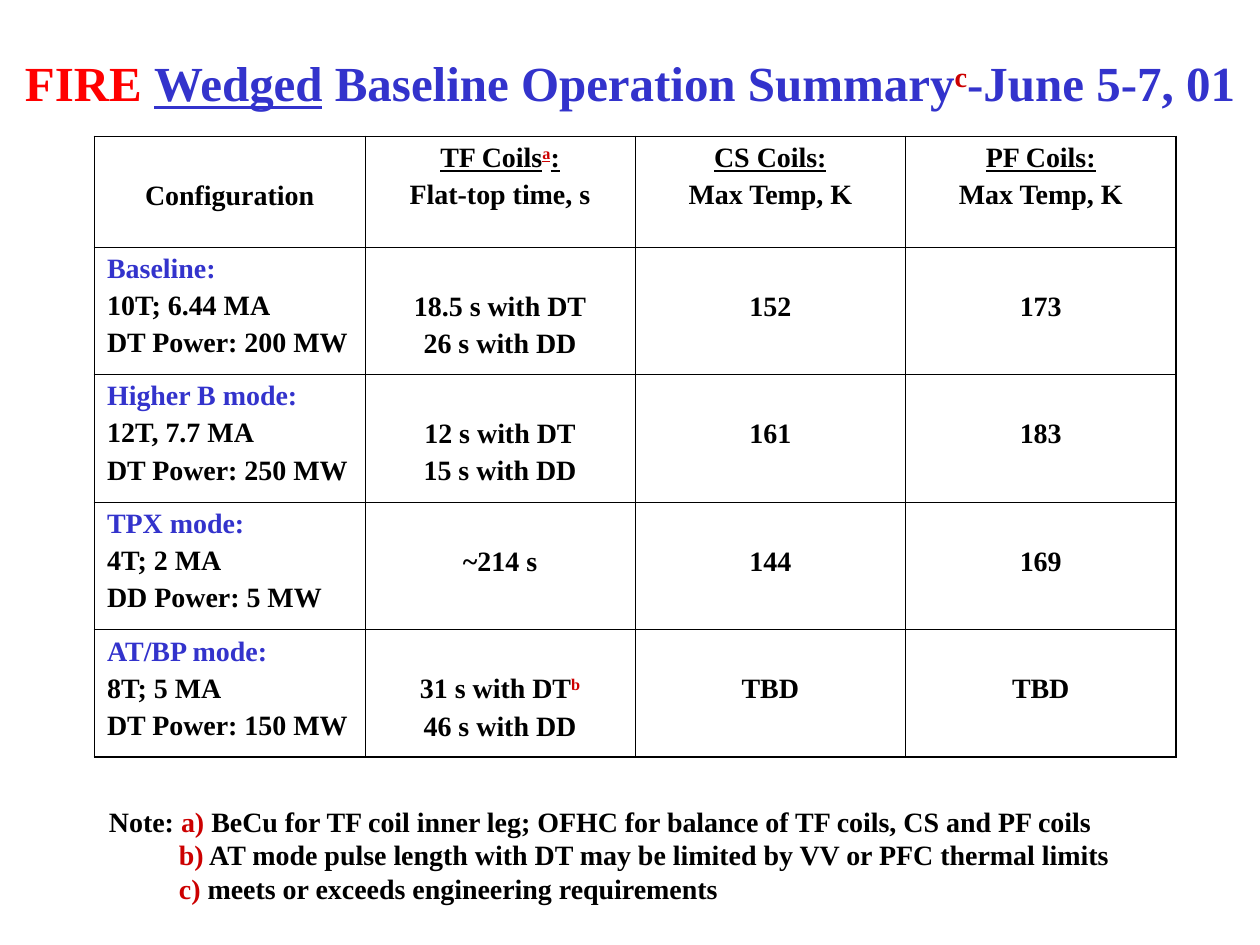
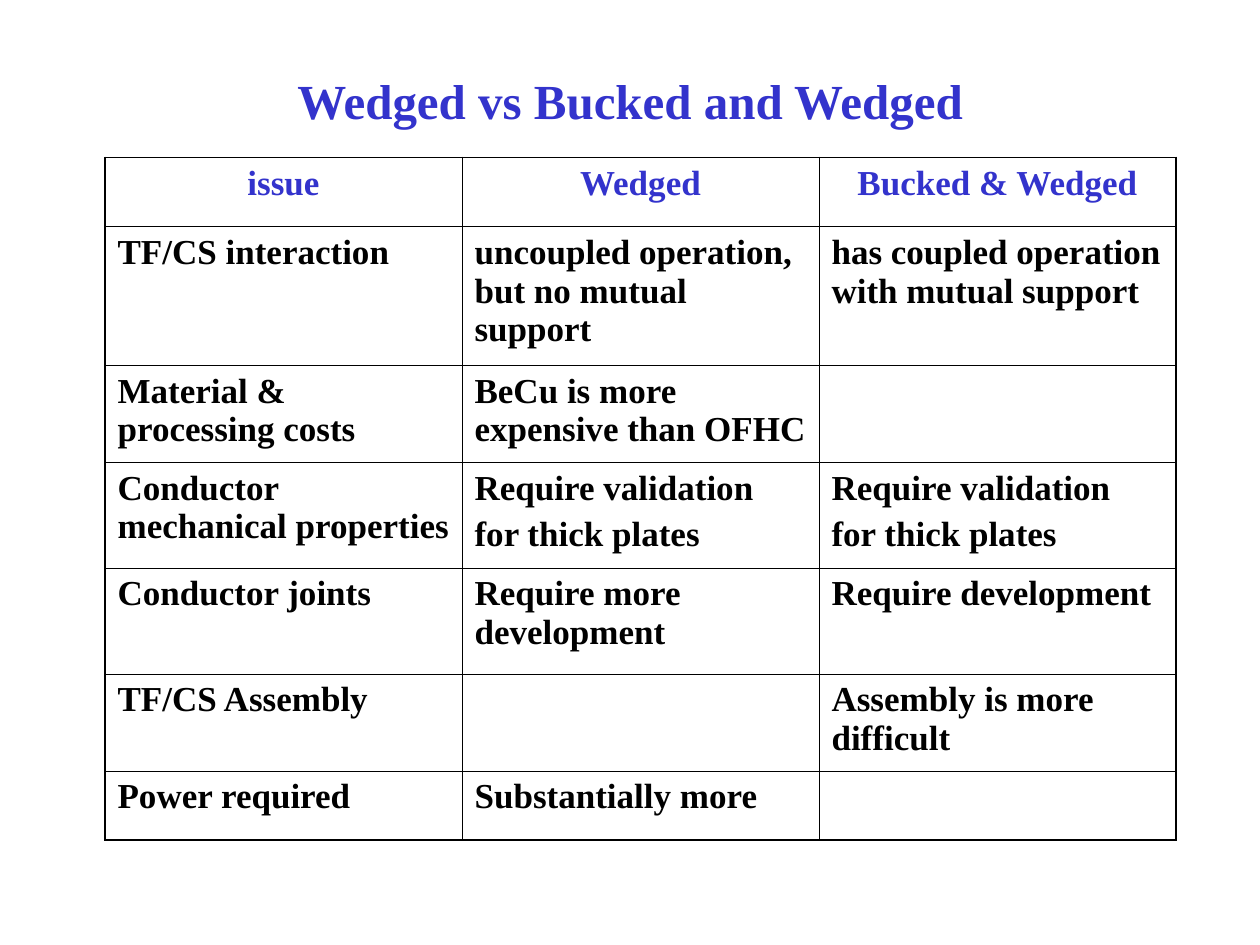
"""Build two slides on the FIRE wedged coil baseline and its alternative."""
from lxml.etree import SubElement
from pptx import Presentation
from pptx.dml.color import RGBColor
from pptx.enum.text import MSO_ANCHOR, MSO_AUTO_SIZE, PP_ALIGN
from pptx.oxml.ns import qn
from pptx.util import Pt

FONT = "Times New Roman"
BLACK, BLUE, RED, NOTE_RED = "000000", "3333CC", "FF0000", "CC0000"
OUTER_LINE, INNER_LINE = Pt(1.08), Pt(0.45)


def add_runs(paragraph, runs, size):
    """Add runs given as plain text or as (text, colour, effects)."""
    for item in [runs] if isinstance(runs, (str, tuple)) else runs:
        text, colour, *effects = (item, BLACK) if isinstance(item, str) else item
        run = paragraph.add_run()
        run.text = text
        run.font.name = FONT
        run.font.size = Pt(size)
        run.font.bold = True
        run.font.underline = "underline" in effects
        run.font.color.rgb = RGBColor.from_string(colour)
        if "superscript" in effects:
            run.font._element.set("baseline", "30000")


def style_cell(cell, edges):
    """Draw the cell's borders, thick where it meets the table's edge."""
    properties = cell._tc.get_or_add_tcPr()
    for side, outer in edges.items():
        line = SubElement(properties, qn(f"a:ln{side}"), w=str(OUTER_LINE if outer else INNER_LINE))
        SubElement(SubElement(line, qn("a:solidFill")), qn("a:srgbClr"), val=BLACK)
    cell.fill.background()


operation_rows = [
    [["Configuration"],
     [[("TF Coils", BLACK, "underline"), ("a", NOTE_RED, "underline", "superscript"),
       (":", BLACK, "underline")], "Flat-top time, s"],
     [("CS Coils:", BLACK, "underline"), "Max Temp, K"],
     [("PF Coils:", BLACK, "underline"), "Max Temp, K"]],
    [[("Baseline:", BLUE), "10T; 6.44 MA", "DT Power: 200 MW"],
     ["18.5 s with DT", "26 s with DD"], ["152"], ["173"]],
    [[("Higher B mode:", BLUE), "12T, 7.7 MA", "DT Power: 250 MW"],
     ["12 s with DT", "15 s with DD"], ["161"], ["183"]],
    [[("TPX mode:", BLUE), "4T; 2 MA", "DD Power: 5 MW"],
     ["~214 s"], ["144"], ["169"]],
    [[("AT/BP mode:", BLUE), "8T; 5 MA", "DT Power: 150 MW"],
     [["31 s with DT", ("b", NOTE_RED, "superscript")], "46 s with DD"], ["TBD"], ["TBD"]],
]
validation = ["Require validation", "for thick plates"]
comparison_rows = [
    [[(heading, BLUE)] for heading in ("issue", "Wedged", "Bucked & Wedged")],
    [["TF/CS interaction"], ["uncoupled operation, but no mutual support"],
     ["has coupled operation with mutual support"]],
    [["Material & processing costs"], ["BeCu is more expensive than OFHC"], []],
    [["Conductor mechanical properties"], validation, validation],
    [["Conductor joints"], ["Require more development"], ["Require development"]],
    [["TF/CS Assembly"], [], ["Assembly is more difficult"]],
    [["Power required"], ["Substantially more"], []],
]
slides = [
    {"title": [("FIRE ", RED), ("Wedged", BLUE, "underline"),
               (" Baseline Operation Summary", BLUE), ("c", NOTE_RED, "superscript"),
               ("-June 5-7, 01", BLUE)],
     "title_box": (0, 24, 720, 36), "title_drop": 10,
     "rows": operation_rows, "heights": [63.2] + [72.9] * 4, "table_box": (54, 78, 618),
     "size": 16, "space": 3.4, "centre_body": True, "lowered": 21.7},
    {"title": [("Wedged vs Bucked and Wedged", BLUE)],
     "title_box": (54, 36, 612, 42), "title_drop": 0,
     "rows": comparison_rows, "heights": [39.5, 79.4, 55.4, 60.5, 60.5, 55.4, 39.5],
     "table_box": (60, 90, 612),
     "size": 20, "space": 4.5, "centre_body": False, "lowered": 0},
]

presentation = Presentation()
presentation.slide_width, presentation.slide_height = Pt(720), Pt(540)

for content in slides:
    slide = presentation.slides.add_slide(presentation.slide_layouts[5])
    title = slide.shapes.title
    title.left, title.top, title.width, title.height = map(Pt, content["title_box"])
    title.text_frame.auto_size = MSO_AUTO_SIZE.NONE
    title.text_frame.vertical_anchor = MSO_ANCHOR.MIDDLE
    title.text_frame.margin_top = Pt(3.6 + content["title_drop"])
    title.text_frame.paragraphs[0].alignment = PP_ALIGN.CENTER
    add_runs(title.text_frame.paragraphs[0], content["title"], 28)

    rows, heights = content["rows"], content["heights"]
    left, top, width = content["table_box"]
    last_row, last_column = len(rows) - 1, len(rows[0]) - 1
    table = slide.shapes.add_table(len(rows), len(rows[0]), Pt(left), Pt(top),
                                   Pt(width), Pt(sum(heights))).table
    table.first_row = table.horz_banding = False
    for row_index, cells in enumerate(rows):
        table.rows[row_index].height = Pt(heights[row_index])
        for column_index, lines in enumerate(cells):
            cell = table.cell(row_index, column_index)
            style_cell(cell, {"L": column_index == 0, "R": column_index == last_column,
                              "T": row_index == 0, "B": row_index == last_row})
            if (row_index == 0) == (column_index == 0):
                cell.margin_top = Pt(3.6 + content["lowered"])
            centred = row_index == 0 or (content["centre_body"] and column_index > 0)
            for line_index, line in enumerate(lines):
                frame = cell.text_frame
                paragraph = frame.add_paragraph() if line_index else frame.paragraphs[0]
                paragraph.alignment = PP_ALIGN.CENTER if centred else PP_ALIGN.LEFT
                paragraph.space_before = Pt(content["space"] if line_index else 0)
                add_runs(paragraph, line, content["size"])
    for column in table.columns:
        column.width = Pt(width / len(rows[0]))

notes = [
    ["Note: ", ("a)", NOTE_RED),
     " BeCu for TF coil inner leg; OFHC for balance of TF coils, CS and PF coils"],
    [("b)", NOTE_RED), " AT mode pulse length with DT may be limited by VV or PFC thermal limits"],
    [("c)", NOTE_RED), " meets or exceeds engineering requirements"],
]
note_box = presentation.slides[0].shapes.add_textbox(Pt(55.2), Pt(456), Pt(595), Pt(64.8))
note_box.text_frame.word_wrap = True
for note_index, note in enumerate(notes):
    frame = note_box.text_frame
    paragraph = frame.add_paragraph() if note_index else frame.paragraphs[0]
    if note_index:
        paragraph._p.get_or_add_pPr().set("marL", str(Pt(40)))
    add_runs(paragraph, note, 16)

presentation.save("out.pptx")
